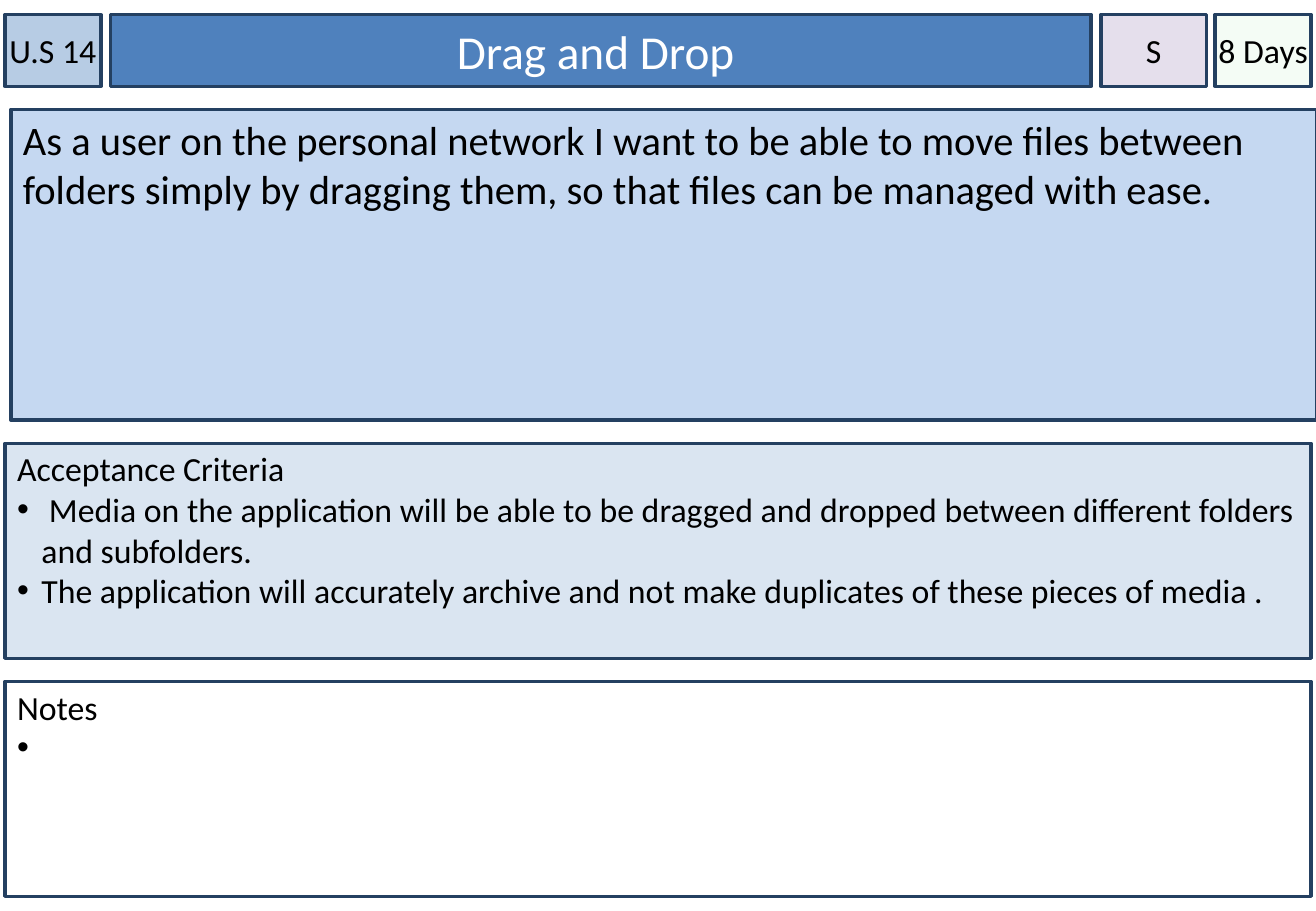
"""Builds a user story card with a header row, story, acceptance criteria and notes."""
from lxml import etree
from pptx import Presentation
from pptx import util as u
from pptx.dml.color import RGBColor
from pptx.enum import shapes, text
from pptx.oxml.ns import qn

NAVY = RGBColor(0x24, 0x40, 0x61)
BLACK = RGBColor(0x00, 0x00, 0x00)
WHITE = RGBColor(0xFF, 0xFF, 0xFF)
ID_BLUE = RGBColor(0xB7, 0xCC, 0xE4)
TITLE_BLUE = RGBColor(0x4F, 0x81, 0xBD)
STORY_BLUE = RGBColor(0xC5, 0xD8, 0xF1)
CRITERIA_BLUE = RGBColor(0xDA, 0xE5, 0xF1)
SIZE_LILAC = RGBColor(0xE5, 0xDF, 0xEC)
DAYS_GREEN = RGBColor(0xCC, 0xF0, 0xCD)

HEADER_TOP, HEADER_HEIGHT = 0.12, 0.59
PANEL_LEFT, PANEL_WIDTH, PANEL_HEIGHT = 0.04, 10.75, 1.77


class StoryCard:
    """Holds the card style and the slide being filled."""

    def __init__(self, slide):
        self.slide = slide
        self.font = "Calibri"
        self.line_width = u.Pt(2)

    def style_box(self, box, place, fill, anchor, side=0.1, top=0.05):
        """Places a box and sets its fill, outline and text frame."""
        left, upper, width, height = map(u.Inches, place)
        geometry = {"left": left, "top": upper, "width": width, "height": height}
        for name, value in geometry.items():
            setattr(box, name, value)
        box.fill.solid()
        box.fill.fore_color.rgb = fill
        box.line.color.rgb = NAVY
        box.line.width = self.line_width
        frame_format = {
            "word_wrap": True,
            "auto_size": text.MSO_AUTO_SIZE.NONE,
            "vertical_anchor": anchor,
            "margin_left": u.Inches(side),
            "margin_right": u.Inches(side),
            "margin_top": u.Inches(top),
            "margin_bottom": u.Inches(0.05),
        }
        for name, value in frame_format.items():
            setattr(box.text_frame, name, value)

    def add_span(self, para, words, size, color=BLACK, align=text.PP_ALIGN.LEFT):
        """Adds one formatted span to a paragraph."""
        para.alignment = align
        para.space_before = u.Pt(0)
        span = para.add_run()
        span.text = words
        font_format = {"name": self.font, "size": u.Pt(size)}
        for name, value in font_format.items():
            setattr(span.font, name, value)
        span.font.color.rgb = color

    def add_box(self, place):
        """Adds a plain rectangle."""
        box = self.slide.shapes.add_shape(
            shapes.MSO_SHAPE.RECTANGLE, *map(u.Inches, place))
        box.shadow.inherit = False
        return box

    def add_tag(self, left, width, words, fill, opacity=None):
        """Adds a small centred tag to the header row."""
        place = (left, HEADER_TOP, width, HEADER_HEIGHT)
        box = self.add_box(place)
        self.style_box(box, place, fill, text.MSO_ANCHOR.MIDDLE, side=0)
        self.add_span(box.text_frame.paragraphs[0], words, 20,
                      align=text.PP_ALIGN.CENTER)
        if opacity is not None:
            color = box.element.spPr.find(qn("a:solidFill")).find(qn("a:srgbClr"))
            etree.SubElement(color, qn("a:alpha"), val=str(opacity * 1000))

    def add_title(self, left, width, words):
        """Fills the title placeholder."""
        box = self.slide.shapes.title
        place = (left, HEADER_TOP, width, HEADER_HEIGHT)
        self.style_box(box, place, TITLE_BLUE, text.MSO_ANCHOR.MIDDLE)
        self.add_span(box.text_frame.paragraphs[0], words, 28, WHITE,
                      text.PP_ALIGN.CENTER)

    def add_story(self, place, words):
        """Adds the story panel."""
        box = self.add_box(place)
        self.style_box(box, place, STORY_BLUE, text.MSO_ANCHOR.TOP)
        self.add_span(box.text_frame.paragraphs[0], words, 24)

    def add_list(self, index, top, heading, items, fill):
        """Fills a body placeholder with a heading and bulleted items."""
        box = self.slide.placeholders[index]
        place = (PANEL_LEFT, top, PANEL_WIDTH, PANEL_HEIGHT)
        self.style_box(box, place, fill, text.MSO_ANCHOR.TOP, top=0.04)
        para = box.text_frame.paragraphs[0]
        self.add_span(para, heading, 20)
        self.set_bullet(para, None, 0)
        for item in items:
            para = box.text_frame.add_paragraph()
            self.add_span(para, item, 20)
            self.set_bullet(para, "•", 0.2)

    def set_bullet(self, para, mark, indent):
        """Sets the bullet and hanging indent of a paragraph."""
        properties = para._p.get_or_add_pPr()
        properties.set("marL", str(u.Inches(indent)))
        properties.set("indent", str(-u.Inches(indent)))
        if mark is None:
            etree.SubElement(properties, qn("a:buNone"))
            return
        color = etree.SubElement(properties, qn("a:buClr"))
        etree.SubElement(color, qn("a:srgbClr"), val=str(BLACK))
        etree.SubElement(properties, qn("a:buFont"), typeface="Arial")
        etree.SubElement(properties, qn("a:buChar"), char=mark)


def main():
    """Builds and saves the deck."""
    deck = Presentation()
    deck.slide_width = u.Inches(10.83)
    deck.slide_height = u.Inches(7.5)
    card = StoryCard(deck.slides.add_slide(deck.slide_layouts[3]))

    card.add_tag(0.04, 0.79, "U.S 14", ID_BLUE)
    card.add_title(0.91, 8.07, "Drag and Drop ")
    card.add_tag(9.06, 0.87, "S", SIZE_LILAC)
    card.add_tag(10, 0.79, "8 Days", DAYS_GREEN, opacity=20)
    card.add_story(
        (0.09, 0.9, PANEL_WIDTH, 2.56),
        "As a user on the personal network I want to be able to move files between "
        "folders simply by dragging them, so that files can be managed with ease.")
    card.add_list(1, 3.65, "Acceptance Criteria", [
        " Media on the application will be able to be dragged and dropped between "
        "different folders and subfolders.",
        "The application will accurately archive and not make duplicates of these "
        "pieces of media .",
    ], CRITERIA_BLUE)
    card.add_list(2, 5.61, "Notes", [" "], WHITE)
    deck.save("out.pptx")


if __name__ == "__main__":
    main()
